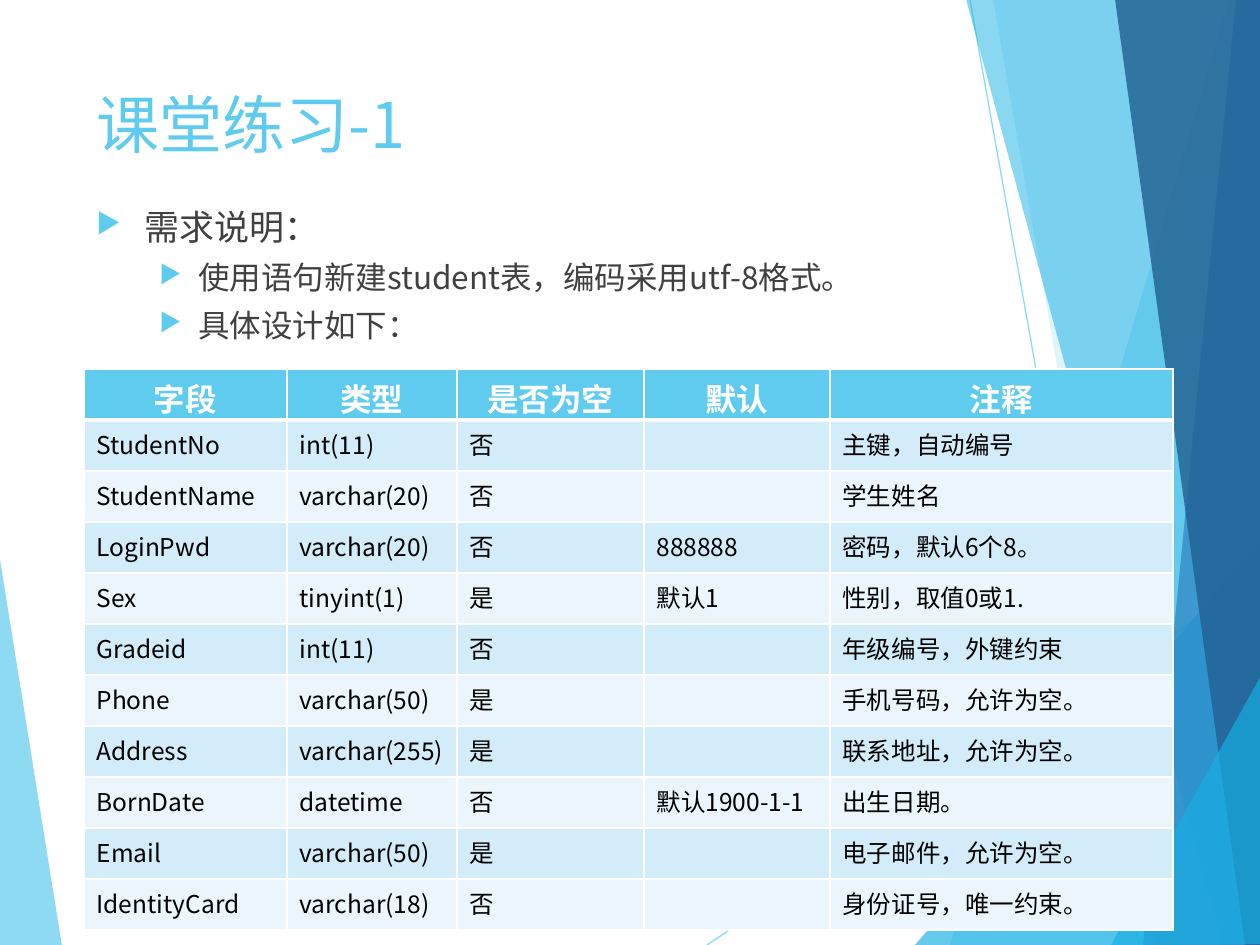
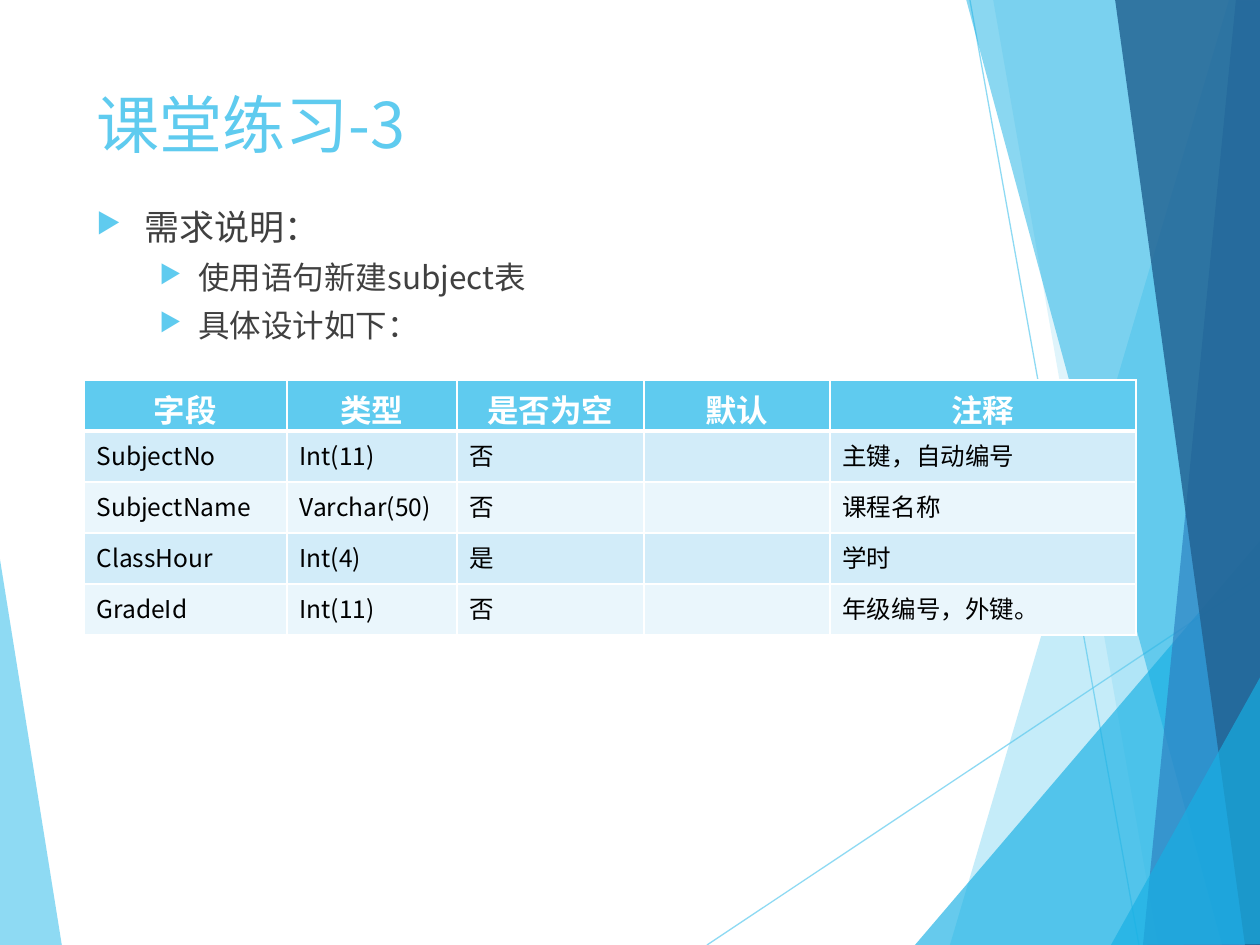
from dataclasses import dataclass

from lxml import etree
from pptx import Presentation
from pptx import util as u
from pptx.dml.color import RGBColor
from pptx.enum import shapes, text
from pptx.oxml import ns

EMU_PER_PX = 914400 / 126
SLIDE_W, SLIDE_H = 1260, 945
FONT = "Noto Sans CJK SC"

SKY = RGBColor(0x5F, 0xCB, 0xEF)
CYAN = RGBColor(0x17, 0xB0, 0xE4)
BLUE = RGBColor(0x2E, 0x83, 0xC3)
NAVY = RGBColor(0x22, 0x62, 0x92)
BODY_GREY = RGBColor(0x40, 0x40, 0x40)
BLACK = RGBColor(0, 0, 0)
WHITE = RGBColor(0xFF, 0xFF, 0xFF)
STRIPES = (RGBColor(0xD2, 0xEC, 0xF9), RGBColor(0xEA, 0xF6, 0xFC))

LEFT, CONTENT_W = 84, 1062
ROW_H = 51
FIELD_COLUMNS = (203, 170, 187, 186)  # the remarks column differs by slide
HEADINGS = ("字段", "类型", "是否为空", "默认", "注释")


@dataclass(frozen=True)
class Facet:
    points: tuple[tuple[int, int], ...]
    color: RGBColor
    opacity: int


@dataclass(frozen=True)
class Ray:
    start: tuple[int, int]
    end: tuple[int, int]


@dataclass(frozen=True)
class Level:
    size: int
    margin: int
    hanging: int


@dataclass(frozen=True)
class Exercise:
    title: str
    task: str
    table_top: int
    remarks_width: int
    fields: tuple[tuple[str, ...], ...]


LEFT_FACET = Facet(((-1, 553), (62, 946), (-1, 945)), SKY, 70)
RAYS = (Ray((707, 945), (1261, 576)), Ray((970, 0), (1139, 945)))
RIGHT_FACETS = (
    Facet(((1229, 0), (950, 945), (1262, 946), (1261, 1)), SKY, 36),
    Facet(((993, -1), (1158, 945), (1261, 945), (1261, -1)), SKY, 20),
    Facet(((915, 945), (1260, 541), (1261, 945)), CYAN, 66),
    Facet(((966, -1), (1222, 945), (1261, 944), (1261, -1)), CYAN, 50),
    Facet(((1236, -1), (1143, 945), (1261, 945), (1260, -1)), BLUE, 70),
    Facet(((1115, -1), (1245, 945), (1262, 945), (1260, -1)), NAVY, 82),
    Facet(((1111, 945), (1262, 674), (1262, 944)), CYAN, 66),
)

TOPIC = Level(20, 48, 48)
DETAIL = Level(18, 102, 39)

EXERCISES = (
    Exercise("课堂练习-1", "使用语句新建student表，编码采用utf-8格式。", 369, 343, (
        ("StudentNo", "int(11)", "否", "", "主键，自动编号"),
        ("StudentName", "varchar(20)", "否", "", "学生姓名"),
        ("LoginPwd", "varchar(20)", "否", "888888", "密码，默认6个8。"),
        ("Sex", "tinyint(1)", "是", "默认1", "性别，取值0或1."),
        ("Gradeid", "int(11)", "否", "", "年级编号，外键约束"),
        ("Phone", "varchar(50)", "是", "", "手机号码，允许为空。"),
        ("Address", "varchar(255)", "是", "", "联系地址，允许为空。"),
        ("BornDate", "datetime", "否", "默认1900-1-1", "出生日期。"),
        ("Email", "varchar(50)", "是", "", "电子邮件，允许为空。"),
        ("IdentityCard", "varchar(18)", "否", "", "身份证号，唯一约束。"),
    )),
    Exercise("课堂练习-3", "使用语句新建subject表", 380, 306, (
        ("SubjectNo", "Int(11)", "否", "", "主键，自动编号"),
        ("SubjectName", "Varchar(50)", "否", "", "课程名称"),
        ("ClassHour", "Int(4)", "是", "", "学时"),
        ("GradeId", "Int(11)", "否", "", "年级编号，外键。"),
    )),
)


def px(length: float) -> u.Emu:
    return u.Emu(round(length * EMU_PER_PX))


def add_element(parent, tag: str, **attributes):
    return etree.SubElement(parent, ns.qn(tag), attributes)


def set_opacity(properties, percent: int) -> None:
    color = next(properties.iter(ns.qn("a:srgbClr")))
    add_element(color, "a:alpha", val=str(percent * 1000))


def add_run(paragraph, wording: str, size: int, color: RGBColor, bold: bool = False) -> None:
    run = paragraph.add_run()
    run.text = wording
    run.font.size = u.Pt(size)
    run.font.bold = bold
    run.font.color.rgb = color
    run.font.name = FONT
    add_element(run.font._element, "a:ea", typeface=FONT)


# Background shared by the slides
def draw_facet(slide, facet: Facet) -> None:
    first, *others = [(px(x), px(y)) for x, y in facet.points]
    builder = slide.shapes.build_freeform(*first)
    builder.add_line_segments(others, close=True)
    pane = builder.convert_to_shape()
    pane.shadow.inherit = False
    pane.fill.solid()
    pane.fill.fore_color.rgb = facet.color
    set_opacity(pane._element.spPr, facet.opacity)
    pane.line.fill.background()


def draw_ray(slide, ray: Ray) -> None:
    ends = [px(value) for value in ray.start + ray.end]
    line = slide.shapes.add_connector(shapes.MSO_CONNECTOR.STRAIGHT, *ends)
    line.line.color.rgb = SKY
    line.line.width = u.Pt(0.75)
    set_opacity(line._element.spPr, 70)
    add_element(line._element.spPr, "a:effectLst")


def draw_background(slide) -> None:
    draw_facet(slide, LEFT_FACET)
    for ray in RAYS:
        draw_ray(slide, ray)
    for facet in RIGHT_FACETS:
        draw_facet(slide, facet)


# Title and bullets
def add_frame(slide, top: int, height: int, anchor: text.MSO_ANCHOR):
    box = slide.shapes.add_textbox(px(LEFT), px(top), px(CONTENT_W), px(height))
    frame = box.text_frame
    frame.word_wrap = True
    frame.vertical_anchor = anchor
    return frame


def draw_title(slide, wording: str) -> None:
    heading = add_frame(slide, 84, 89, text.MSO_ANCHOR.MIDDLE).paragraphs[0]
    heading.line_spacing = 0.9
    add_run(heading, wording, 36, SKY)


def write_bullet(paragraph, wording: str, level: Level) -> None:
    paragraph.line_spacing = 0.9
    paragraph.space_before = u.Pt(8)
    properties = paragraph._p.get_or_add_pPr()
    properties.set("marL", str(px(level.margin)))
    properties.set("indent", str(px(-level.hanging)))
    bullet_color = add_element(properties, "a:buClr")
    add_element(bullet_color, "a:srgbClr", val=str(SKY))
    add_element(properties, "a:buSzPct", val="80000")
    add_element(properties, "a:buChar", char="▶")
    add_run(paragraph, wording, level.size, BODY_GREY)


def draw_requirements(slide, task: str) -> None:
    frame = add_frame(slide, 204, 607, text.MSO_ANCHOR.TOP)
    write_bullet(frame.paragraphs[0], "需求说明：", TOPIC)
    for wording in (task, "具体设计如下："):
        paragraph = frame.add_paragraph()
        paragraph.level = 1
        write_bullet(paragraph, wording, DETAIL)


# Table of fields
def style_cell(cell, fill: RGBColor, top: int, bottom: int) -> None:
    properties = cell._tc.get_or_add_tcPr()
    for side, points in (("L", 1), ("R", 1), ("T", top), ("B", bottom)):
        border = add_element(properties, f"a:ln{side}", w=str(u.Pt(points)))
        paint = add_element(border, "a:solidFill")
        add_element(paint, "a:srgbClr", val=str(WHITE))
    cell.fill.solid()
    cell.fill.fore_color.rgb = fill


def draw_fields(slide, exercise: Exercise) -> None:
    widths = FIELD_COLUMNS + (exercise.remarks_width,)
    rows = (HEADINGS,) + exercise.fields
    table = slide.shapes.add_table(
        len(rows), len(widths), px(LEFT), px(exercise.table_top),
        px(sum(widths)), px(ROW_H * len(rows))).table
    for column, width in zip(table.columns, widths):
        column.width = px(width)
    for r, row in enumerate(rows):
        table.rows[r].height = px(ROW_H)
        for c, wording in enumerate(row):
            cell = table.cell(r, c)
            paragraph = cell.text_frame.paragraphs[0]
            if r == 0:
                style_cell(cell, SKY, 1, 3)
                paragraph.alignment = text.PP_ALIGN.CENTER
                add_run(paragraph, wording, 18, WHITE, bold=True)
                continue
            style_cell(cell, STRIPES[(r - 1) % 2], 3 if r == 1 else 1, 1)
            if wording:
                add_run(paragraph, wording, 14, BLACK)
            else:
                add_element(paragraph._p, "a:endParaRPr", sz="1400")


def main() -> None:
    deck = Presentation()
    deck.slide_width, deck.slide_height = px(SLIDE_W), px(SLIDE_H)
    blank = deck.slide_layouts[6]
    for exercise in EXERCISES:
        slide = deck.slides.add_slide(blank)
        draw_background(slide)
        draw_title(slide, exercise.title)
        draw_requirements(slide, exercise.task)
        draw_fields(slide, exercise)
    deck.save("out.pptx")


main()
